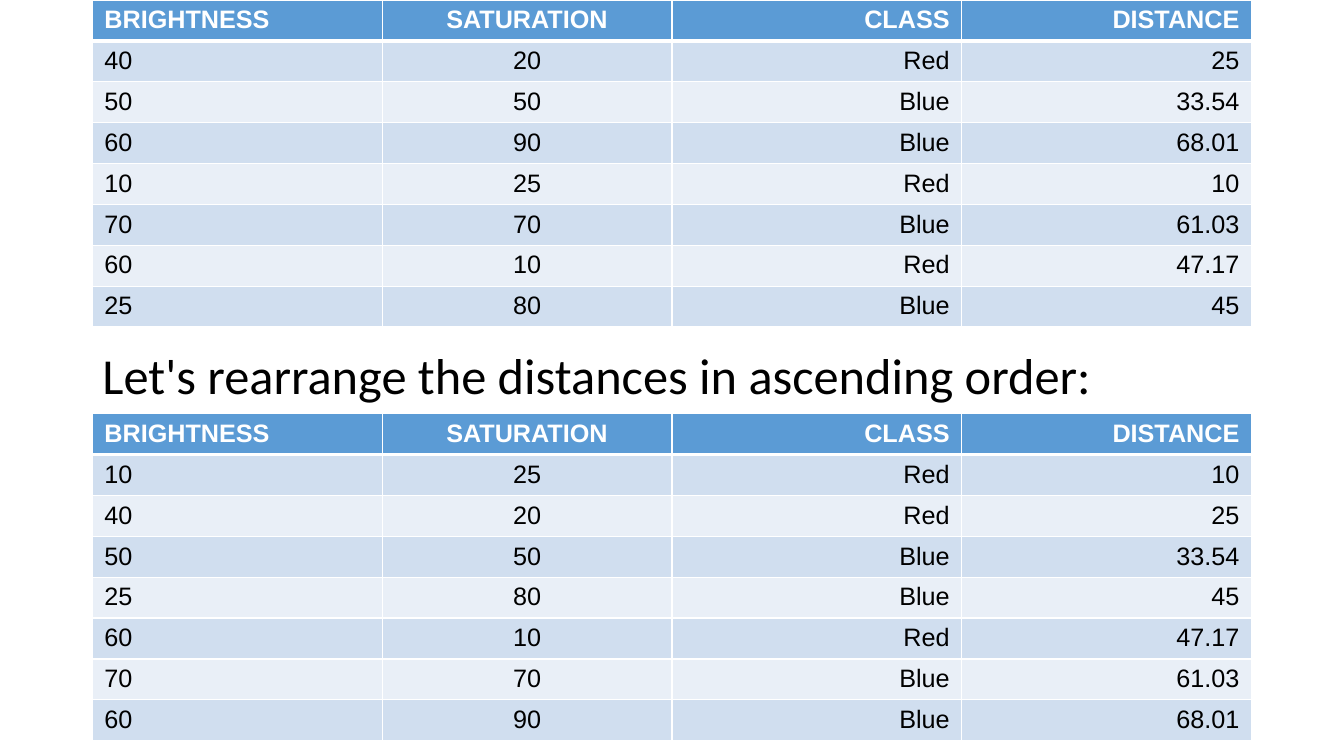
import pptx
import pptx.util
import pptx.dml.color
import pptx.enum.text
import pptx.oxml
import pptx.oxml.ns

Pt = pptx.util.Pt
ALIGN = pptx.enum.text.PP_ALIGN
COLORS = {
    "header": "5B9BD5",
    "odd_row": "D0DEEF",
    "even_row": "E9EFF7",
    "white": "FFFFFF",
    "black": "000000",
}
HEADERS = ("BRIGHTNESS", "SATURATION", "CLASS", "DISTANCE")
ALIGNMENTS = (ALIGN.LEFT, ALIGN.CENTER, ALIGN.RIGHT, ALIGN.RIGHT)
SAMPLES = [
    ("40", "20", "Red", "25"),
    ("50", "50", "Blue", "33.54"),
    ("60", "90", "Blue", "68.01"),
    ("10", "25", "Red", "10"),
    ("70", "70", "Blue", "61.03"),
    ("60", "10", "Red", "47.17"),
    ("25", "80", "Blue", "45"),
]
ROW_HEIGHT = 29.2


def rgb(name):
    return pptx.dml.color.RGBColor.from_string(COLORS[name])


def set_borders(cell, widths):
    """Draw white borders; widths maps each side (L, R, T, B) to points."""
    properties = cell._tc.get_or_add_tcPr()
    for position, (side, width) in enumerate(widths.items()):
        border = pptx.oxml.parse_xml(
            f'<a:ln{side} {pptx.oxml.ns.nsdecls("a")} w="{Pt(width)}">'
            f'<a:solidFill><a:srgbClr val="{COLORS["white"]}"/></a:solidFill>'
            f'</a:ln{side}>'
        )
        properties.insert(position, border)


def format_cell(cell, text, alignment, row_index):
    is_header = row_index == 0
    fill = "header" if is_header else ("odd_row" if row_index % 2 else "even_row")
    cell.fill.solid()
    cell.fill.fore_color.rgb = rgb(fill)
    cell.margin_left = cell.margin_right = Pt(8.64)
    cell.margin_top = cell.margin_bottom = Pt(4.2)
    top = 3 if row_index == 1 else 1
    set_borders(cell, {"L": 1, "R": 1, "T": top, "B": 3 if is_header else 1})
    cell.text = text
    paragraph = cell.text_frame.paragraphs[0]
    paragraph.alignment = alignment
    paragraph.font.name = "Arial"
    paragraph.font.size = Pt(18)
    paragraph.font.bold = is_header
    paragraph.font.color.rgb = rgb("white" if is_header else "black")


def add_sample_table(slide, samples, left, top, width):
    rows = [HEADERS, *samples]
    table = slide.shapes.add_table(
        len(rows), len(HEADERS), Pt(left), Pt(top), Pt(width), Pt(ROW_HEIGHT * len(rows))
    ).table
    for column in table.columns:
        column.width = Pt(width / len(HEADERS))
    for row_index, values in enumerate(rows):
        table.rows[row_index].height = Pt(ROW_HEIGHT)
        for column_index, text in enumerate(values):
            format_cell(table.cell(row_index, column_index), text,
                        ALIGNMENTS[column_index], row_index)


def set_title(slide, text, left, top, width, height):
    title = slide.shapes.title
    title.left, title.top = Pt(left), Pt(top)
    title.width, title.height = Pt(width), Pt(height)
    frame = title.text_frame
    frame.text = text
    frame.word_wrap = True
    frame.vertical_anchor = pptx.enum.text.MSO_ANCHOR.MIDDLE
    paragraph = frame.paragraphs[0]
    paragraph.alignment = ALIGN.LEFT
    paragraph.line_spacing = 0.9
    paragraph.font.name = "Calibri"
    paragraph.font.size = Pt(36)
    paragraph.font.color.rgb = rgb("black")


def main():
    presentation = pptx.Presentation()
    presentation.slide_width, presentation.slide_height = Pt(960), Pt(540)
    slide = presentation.slides.add_slide(presentation.slide_layouts[5])
    left, width = 66, 828
    by_distance = sorted(SAMPLES, key=lambda sample: float(sample[3]))
    add_sample_table(slide, SAMPLES, left, 0, width)
    add_sample_table(slide, by_distance, left, 295.5, width)
    set_title(slide, "Let's rearrange the distances in ascending order:",
              left, 245, width, 50.5)
    presentation.save("out.pptx")


if __name__ == "__main__":
    main()
